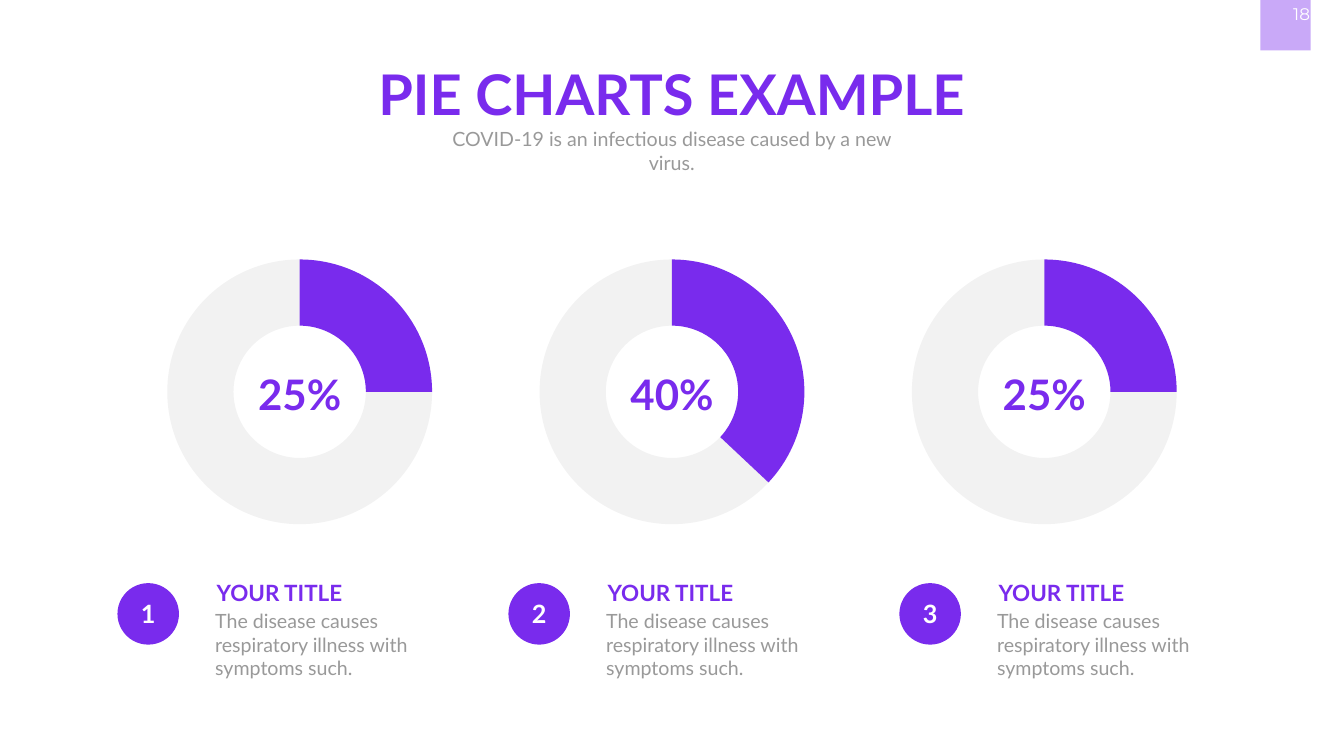
from dataclasses import dataclass
from math import pi, sin

from lxml.etree import SubElement
from pptx import Presentation
from pptx.chart.data import CategoryChartData
from pptx.dml.color import RGBColor
from pptx.enum.chart import XL_CHART_TYPE
from pptx.enum.shapes import MSO_SHAPE
from pptx.enum.text import MSO_ANCHOR, PP_ALIGN
from pptx.oxml import parse_xml
from pptx.oxml.ns import nsdecls, qn
from pptx.util import Inches, Pt

# Content
TITLE = "PIE CHARTS EXAMPLE"
SUBTITLE = "COVID-19 is an infectious disease caused by a new virus."
PAGE_NUMBER = "18"
DONUTS = [("25%", 25), ("40%", 37), ("25%", 25)]
BODY = "The disease causes respiratory illness with symptoms such."
ITEMS = [("1", "YOUR TITLE", BODY), ("2", "YOUR TITLE", BODY), ("3", "YOUR TITLE", BODY)]


@dataclass(frozen=True)
class Theme:
    accent: str = "792BED"
    tab: str = "C9A9F8"
    muted: str = "999999"
    track: str = "808080"
    white: str = "FFFFFF"
    font: str = "Lato"
    number_font: str = "Montserrat"
    chart_font: str = "Calibri"
    title: int = 80
    percent: int = 60
    badge: int = 36
    heading: int = 32
    body: int = 28
    number: int = 24
    chart: int = 10


THEME = Theme()

# Grid, in inches
WIDTH, HEIGHT = 26.66, 15
CENTER = WIDTH / 2
CHART_WIDTH, CHART_HEIGHT, CHART_TOP, CHART_PITCH = 5.7, 5.53, 5.01, 7.385
ITEM_LEFT, ITEM_PITCH, ITEM_TOP = 2.33, 7.755, 11.45
BADGE = 1.22
TAB_LEFT, TAB_WIDTH, TAB_SIDE, TAB_BULGE = 25.39, 0.86, 0.56, 0.2


def write(shape, text, size, color, align=PP_ALIGN.LEFT, bold=False, font=THEME.font, wrap=True):
    frame = shape.text_frame
    frame.text = text
    frame.word_wrap = wrap
    para = frame.paragraphs[0]
    para.alignment = align
    span = para.runs[0]
    span.font.name = font
    span.font.size = Pt(size)
    span.font.bold = bold
    span.font.color.rgb = RGBColor.from_string(color)


def add_text(page, left, top, width, height, *style, **options):
    box = page.shapes.add_textbox(Inches(left), Inches(top), Inches(width), Inches(height))
    write(box, *style, **options)


def paint(shape, color):
    shape.shadow.inherit = False
    shape.fill.solid()
    shape.fill.fore_color.rgb = RGBColor.from_string(color)
    shape.line.fill.background()


def add_page_tab(page):
    steps = 24
    right = TAB_LEFT + TAB_WIDTH
    curve = [(right - TAB_WIDTH * i / steps, TAB_SIDE + TAB_BULGE * sin(pi * i / steps))
             for i in range(steps + 1)]
    builder = page.shapes.build_freeform(TAB_LEFT, 0, scale=Inches(1))
    builder.add_line_segments([(right, 0)] + curve, close=True)
    paint(builder.convert_to_shape(), THEME.tab)
    add_text(page, TAB_LEFT, 0.03, TAB_WIDTH, 0.61, PAGE_NUMBER, THEME.number, THEME.white,
             PP_ALIGN.CENTER, font=THEME.number_font, wrap=False)


def add_donut(page, center, label, share):
    data = CategoryChartData()
    data.categories = ["1", "2"]
    data.add_series("Series 1", (share, 100 - share))
    chart = page.shapes.add_chart(
        XL_CHART_TYPE.DOUGHNUT, Inches(center - CHART_WIDTH / 2), Inches(CHART_TOP),
        Inches(CHART_WIDTH), Inches(CHART_HEIGHT), data).chart
    chart.has_legend = False
    chart.has_title = False
    chart.font.name = THEME.chart_font
    chart.font.size = Pt(THEME.chart)
    chart.font.color.rgb = RGBColor.from_string(THEME.muted)
    plot = chart.plots[0]
    plot.vary_by_categories = False
    for index, color in enumerate((THEME.accent, THEME.track)):
        form = plot.series[0].points[index].format
        form.fill.solid()
        form.fill.fore_color.rgb = RGBColor.from_string(color)
        form.line.fill.background()

    # Faint track, hole size and a centred square plot area
    track = plot.series[0].points[1].format.fill
    root = chart.element
    track_color = [node for node in root.iter(qn("a:srgbClr")) if node.get("val") == THEME.track][0]
    SubElement(track_color, qn("a:alpha")).set("val", "10000")
    next(root.iter(qn("c:holeSize"))).set("val", "80")
    diameter = 0.95 * CHART_HEIGHT
    wide, high = diameter / CHART_WIDTH, diameter / CHART_HEIGHT
    area = next(root.iter(qn("c:plotArea")))
    for old in area.findall(qn("c:layout")):
        area.remove(old)
    area.insert(0, parse_xml(
        f'<c:layout {nsdecls("c")}><c:manualLayout><c:layoutTarget val="inner"/>'
        '<c:xMode val="edge"/><c:yMode val="edge"/>'
        f'<c:x val="{(1 - wide) / 2:.3f}"/><c:y val="{(1 - high) / 2:.3f}"/>'
        f'<c:w val="{wide:.3f}"/><c:h val="{high:.3f}"/></c:manualLayout></c:layout>'))

    add_text(page, center - 1.5, 7.27, 3, 1.11, label, THEME.percent, THEME.accent,
             PP_ALIGN.CENTER, bold=True)


def add_item(page, left, number, heading, body):
    add_text(page, left + 1.87, ITEM_TOP, 4.62, 0.64, heading, THEME.heading, THEME.accent, bold=True)
    add_text(page, left + 1.84, ITEM_TOP + 0.59, 4.62, 1.51, body, THEME.body, THEME.muted)
    badge = page.shapes.add_shape(MSO_SHAPE.OVAL, Inches(left), Inches(ITEM_TOP + 0.12),
                                  Inches(BADGE), Inches(BADGE))
    paint(badge, THEME.accent)
    write(badge, number, THEME.badge, THEME.white, PP_ALIGN.CENTER, bold=True, wrap=False)
    badge.text_frame.vertical_anchor = MSO_ANCHOR.MIDDLE


def main():
    deck = Presentation()
    deck.slide_width, deck.slide_height = Inches(WIDTH), Inches(HEIGHT)
    page = deck.slides.add_slide(deck.slide_layouts[6])

    # Page tab and heading
    add_page_tab(page)
    add_text(page, CENTER - 9.88, 1.14, 19.75, 1.45, TITLE, THEME.title, THEME.accent,
             PP_ALIGN.CENTER, bold=True)
    add_text(page, CENTER - 4.78, 2.47, 9.55, 0.57, SUBTITLE, THEME.body, THEME.muted,
             PP_ALIGN.CENTER)

    # Donut row and numbered items
    for column, (label, share) in enumerate(DONUTS):
        add_donut(page, CENTER + (column - 1) * CHART_PITCH, label, share)
    for column, item in enumerate(ITEMS):
        add_item(page, ITEM_LEFT + column * ITEM_PITCH, *item)

    deck.save("out.pptx")


if __name__ == "__main__":
    main()
